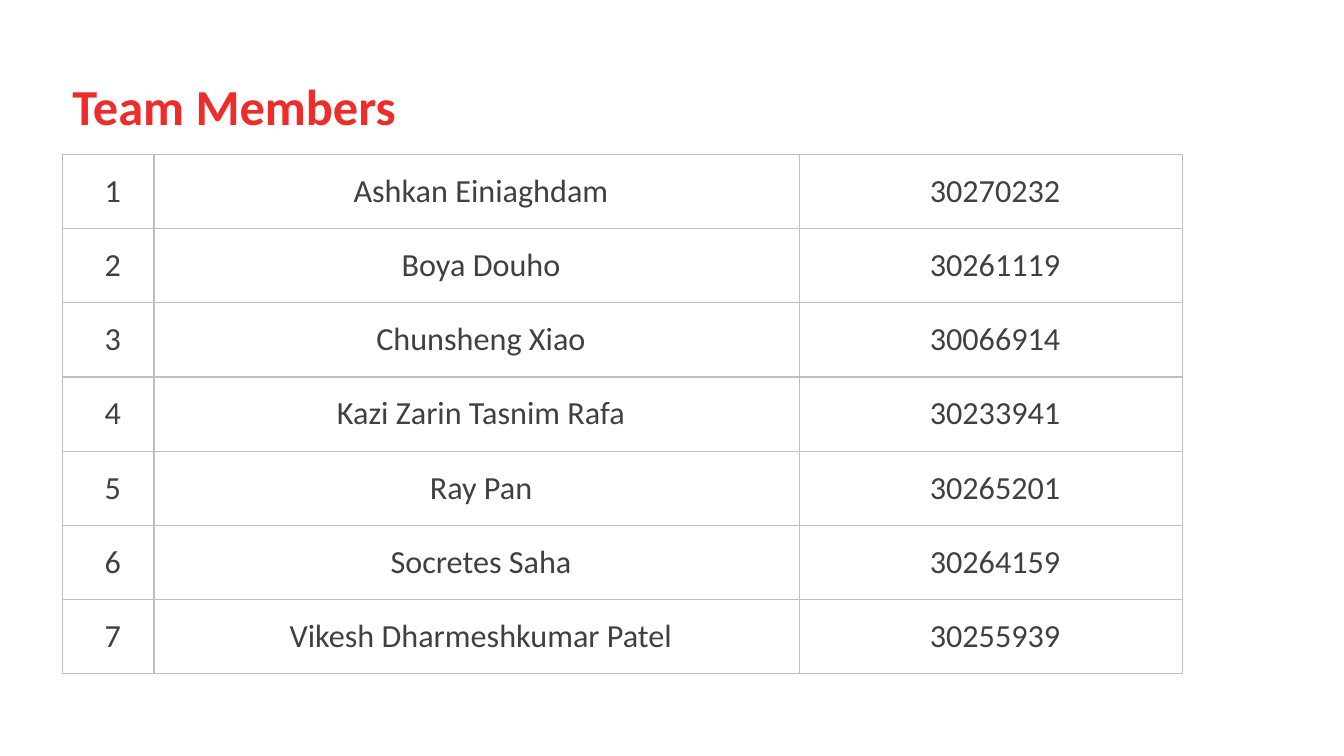
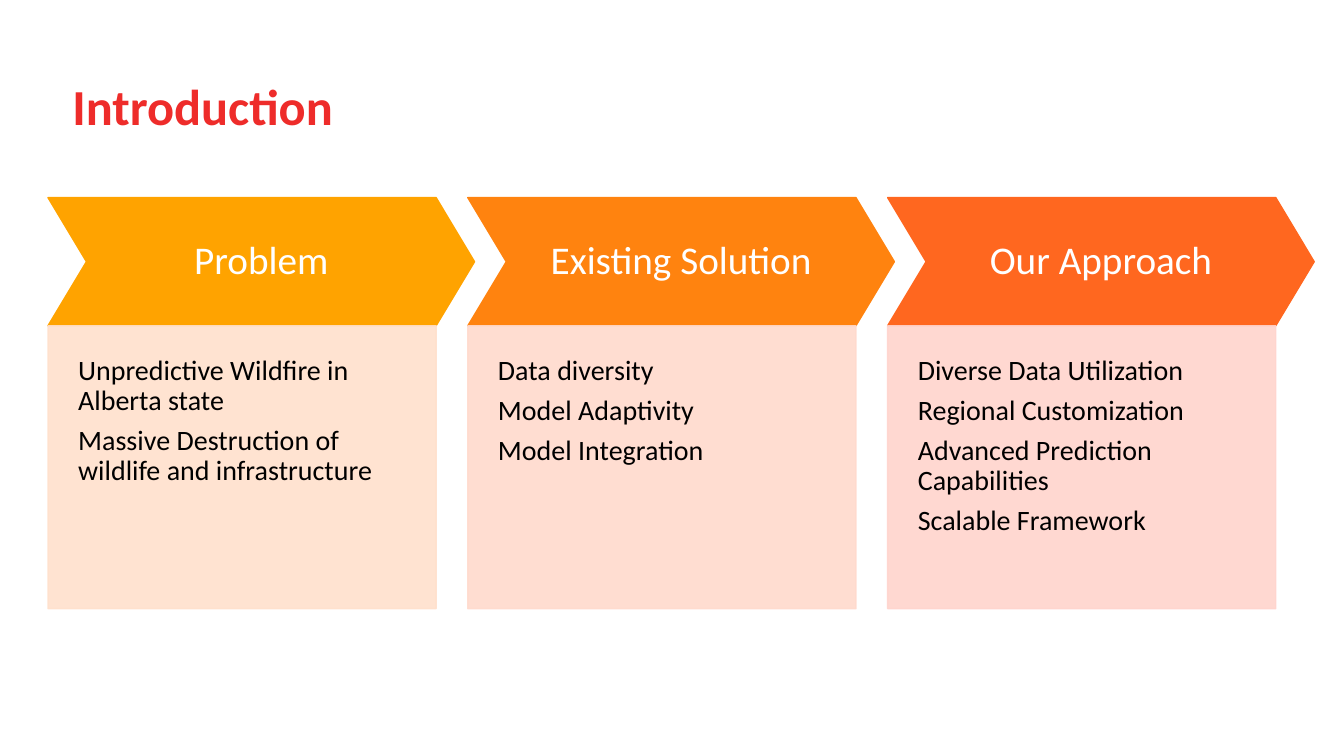
from lxml import etree
from pptx import Presentation, util as u
from pptx.dml.color import RGBColor
from pptx.enum import shapes, text
from pptx.oxml import ns

COLORS = {"title": "EE2C2A", "cell": "404040", "grid": "BFBFBF",
          "white": "FFFFFF", "black": "000000"}
FONT = "Calibri"
TITLE_BOX = (1.57, 1.3, 27, 2.87)
LEFT, TOP = text.PP_ALIGN.LEFT, text.MSO_ANCHOR.TOP
CENTER, MIDDLE = text.PP_ALIGN.CENTER, text.MSO_ANCHOR.MIDDLE

TITLE = {"font": {"size": u.Pt(36), "bold": True}, "color": COLORS["title"],
         "para": {"alignment": LEFT, "line_spacing": u.Pt(38)},
         "frame": {"vertical_anchor": MIDDLE, "word_wrap": True}}
CELL = {"font": {"size": u.Pt(23)}, "color": COLORS["cell"],
        "para": {"alignment": CENTER},
        "frame": {}}
HEAD = {"font": {"size": u.Pt(28)}, "color": COLORS["white"],
        "para": {"alignment": CENTER, "line_spacing": 0.9},
        "frame": {"vertical_anchor": MIDDLE, "word_wrap": True,
                  "margin_left": u.Cm(0.41), "margin_right": u.Cm(0.41),
                  "margin_top": u.Cm(0.41), "margin_bottom": u.Cm(0.41)}}
LIST = {"font": {"size": u.Pt(20)}, "color": COLORS["black"],
        "para": {"alignment": LEFT, "line_spacing": 0.9,
                 "space_after": u.Pt(7)},
        "frame": {"vertical_anchor": TOP, "word_wrap": True,
                  "margin_left": u.Cm(0.76), "margin_right": u.Cm(0.76),
                  "margin_top": u.Cm(0.76), "margin_bottom": u.Cm(1.55)}}
MARGINS = {"margin_left": u.Cm(0.89), "margin_right": u.Cm(0.66),
           "margin_top": u.Cm(0.43), "margin_bottom": u.Cm(0.43)}

TEAM = [("Ashkan Einiaghdam", "30270232"),
        ("Boya Douho", "30261119"),
        ("Chunsheng Xiao", "30066914"),
        ("Kazi Zarin Tasnim Rafa", "30233941"),
        ("Ray Pan", "30265201"),
        ("Socretes Saha", "30264159"),
        ("Vikesh Dharmeshkumar Patel", "30255939")]
STEPS = [("Problem", "FFA300", "FFE0CC",
          ["Unpredictive Wildfire in Alberta state",
           "Massive Destruction of wildlife and infrastructure"]),
         ("Existing Solution", "FF830F", "FFDACD",
          ["Data diversity", "Model Adaptivity", "Model Integration"]),
         ("Our Approach", "FF671F", "FFD4CD",
          ["Diverse Data Utilization", "Regional Customization",
           "Advanced Prediction Capabilities", "Scalable Framework"])]


def apply(target, values):
    for name, value in values.items():
        setattr(target, name, value)


def write(frame, lines, style):
    apply(frame, style["frame"])
    for i, line in enumerate(lines):
        para = frame.add_paragraph() if i else frame.paragraphs[0]
        apply(para, style["para"])
        run = para.add_run()
        run.text = line
        apply(run.font, {"name": FONT, **style["font"]})
        run.font.color.rgb = RGBColor.from_string(style["color"])


def add_page(deck, title):
    page = deck.slides.add_slide(deck.slide_layouts[5])
    left, top, width, height = map(u.Cm, TITLE_BOX)
    apply(page.shapes.title,
          {"left": left, "top": top, "width": width, "height": height})
    write(page.shapes.title.text_frame, [title], TITLE)
    return page


def edge(cell):
    """Draw a thin grey line on all four sides of a cell."""
    props = cell._tc.get_or_add_tcPr()
    for side in ("lnL", "lnR", "lnT", "lnB"):
        line = etree.SubElement(props, ns.qn("a:" + side), w=str(u.Pt(1)))
        fill = etree.SubElement(line, ns.qn("a:solidFill"))
        etree.SubElement(fill, ns.qn("a:srgbClr"), val=COLORS["grid"])


def add_team(page, left, top, widths, height):
    """Add the numbered member table, with rows of the given height."""
    grid = page.shapes.add_table(
        len(TEAM), len(widths), u.Cm(left), u.Cm(top),
        u.Cm(sum(widths)), u.Cm(height * len(TEAM))).table
    apply(grid, {"first_row": False, "horz_banding": False})
    for col, width in zip(grid.columns, widths):
        col.width = u.Cm(width)
    for i, (row, member) in enumerate(zip(grid.rows, TEAM), 1):
        row.height = u.Cm(height)
        for cell, value in zip(row.cells, (str(i), *member)):
            apply(cell, MARGINS)
            edge(cell)
            cell.fill.background()
            write(cell.text_frame, [value], CELL)


def add_block(page, kind, box, color, alpha=100):
    block = page.shapes.add_shape(kind, *map(u.Cm, box))
    block.shadow.inherit = False
    block.fill.solid()
    block.line.width = u.Pt(1)
    for fill in (block.fill, block.line.fill):
        fill.solid()
        fill.fore_color.rgb = RGBColor.from_string(color)
    if alpha < 100:
        for tone in block._element.spPr.iter(ns.qn("a:srgbClr")):
            etree.SubElement(tone, ns.qn("a:alpha"), val=str(alpha * 1000))
    return block


def add_step(page, left, top, width, step):
    """Add a chevron heading with its list panel below."""
    head, dark, pale, items = step
    tall, deep, ratio = 3.23, 7.13, 0.3
    arrow = add_block(page, shapes.MSO_SHAPE.CHEVRON,
                      (left, top, width, tall), dark)
    arrow.adjustments[0] = ratio
    write(arrow.text_frame, [head], HEAD)
    panel = add_block(page, shapes.MSO_SHAPE.RECTANGLE,
                      (left, top + tall, width - ratio * tall, deep), pale, 90)
    write(panel.text_frame, items, LIST)


def main():
    deck = Presentation()
    apply(deck, {"slide_width": u.Cm(33.87), "slide_height": u.Cm(19.05)})
    add_team(add_page(deck, "Team Members"), 1.57, 3.89,
             (2.31, 16.26, 9.65), 1.87)
    intro = add_page(deck, "Introduction")
    for i, step in enumerate(STEPS):
        add_step(intro, 1.21 + 10.58 * i, 4.98, 10.75, step)
    deck.save("out.pptx")


if __name__ == "__main__":
    main()
